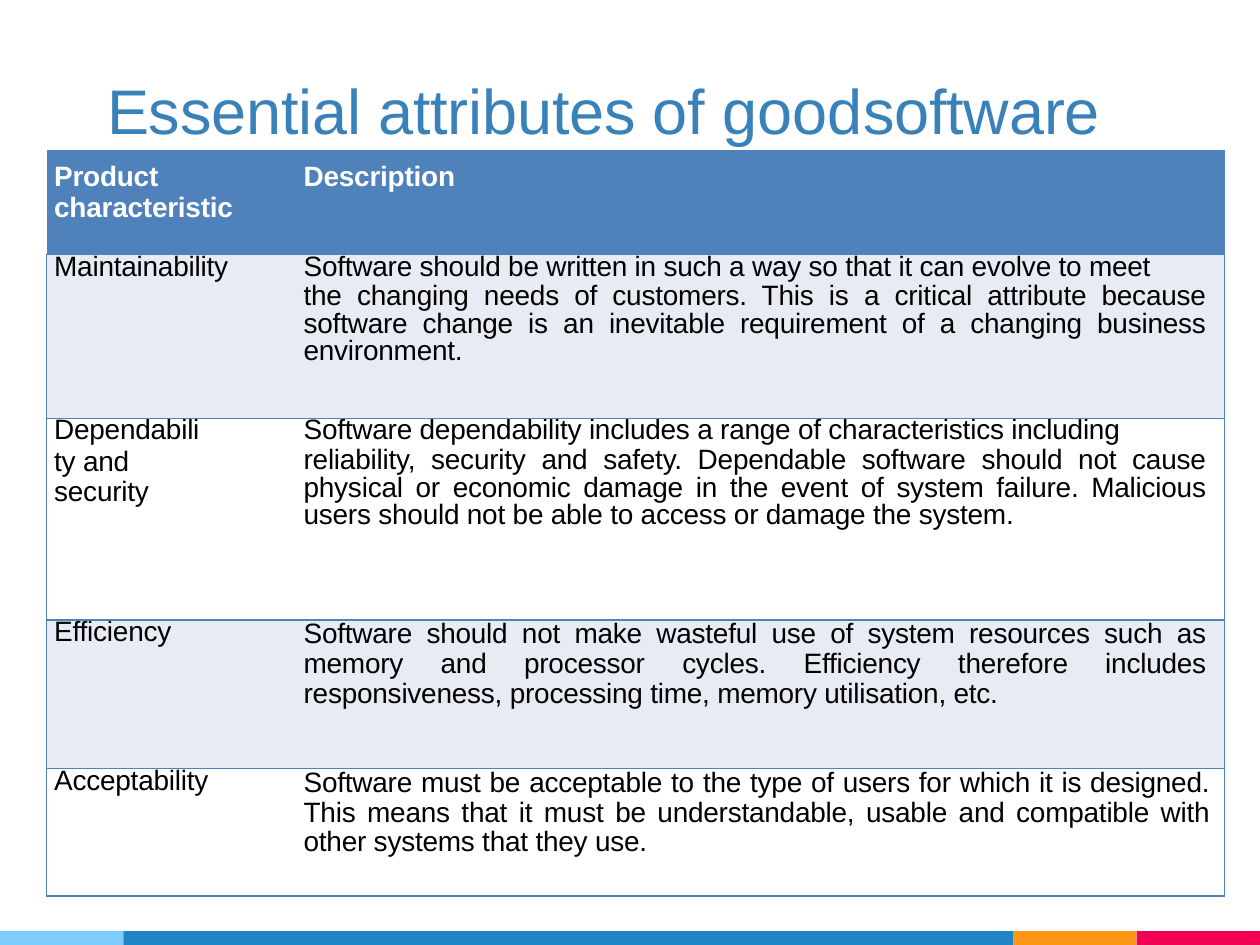
from lxml.etree import SubElement
from pptx import Presentation
from pptx.dml.color import RGBColor
from pptx.enum.shapes import MSO_SHAPE as Shape
from pptx.enum.text import MSO_ANCHOR as Anchor, MSO_AUTO_SIZE as AutoSize, PP_ALIGN as Align
from pptx.oxml.ns import qn
from pptx.util import Inches, Pt

WHITE = RGBColor(0xFF, 0xFF, 0xFF)
BLACK = RGBColor(0x00, 0x00, 0x00)
TITLE_BLUE = RGBColor(0x39, 0x81, 0xB9)
TABLE_BLUE = RGBColor(0x4F, 0x81, 0xBB)
BAND = RGBColor(0xE9, 0xEB, 0xF4)
SKY = RGBColor(0x7D, 0xCE, 0xFC)
OCEAN = RGBColor(0x20, 0x85, 0xC5)
ORANGE = RGBColor(0xFF, 0x96, 0x15)
CRIMSON = RGBColor(0xF1, 0x01, 0x52)

FOOTER = [(0, SKY), (0.98, OCEAN), (8.04, ORANGE), (9.02, CRIMSON)]
COLUMN_WIDTHS = [1.77, 7.58]
ROW_HEIGHTS = [0.83, 1.3, 1.6, 1.18, 1.01]
INDENTS = [0.06, 0.27]
HEADINGS = ["Product characteristic", "Description"]
FIRST_LINE = {"line": Pt(15.7)}
NARROW_NAME = {"line": Pt(17), "before": 1.3, "right": 0.5}
FULL_TEXT = {"line": Pt(17)}
CONTINUED = {"line": 0.885, "before": 1.1}

# Each cell is a list of (text, paragraph format).
ATTRIBUTES = [
    ([("Maintainability", FIRST_LINE)],
     [("Software should be written in such a way so that it can evolve to meet", FIRST_LINE),
      ("the changing needs of customers. This is a critical attribute because "
       "software change is an inevitable requirement of a changing business "
       "environment.", CONTINUED)]),
    ([("Dependabili", FIRST_LINE), ("ty and security", NARROW_NAME)],
     [("Software dependability includes a range of characteristics including", FIRST_LINE),
      ("reliability, security and safety. Dependable software should not cause "
       "physical or economic damage in the event of system failure. Malicious "
       "users should not be able to access or damage the system.", CONTINUED)]),
    ([("Efficiency", FIRST_LINE)],
     [("Software should not make wasteful use of system resources such as "
       "memory and processor cycles. Efficiency therefore includes "
       "responsiveness, processing time, memory utilisation, etc.", FULL_TEXT)]),
    ([("Acceptability", FIRST_LINE)],
     [("Software must be acceptable to the type of users for which it is designed. "
       "This means that it must be understandable, usable and compatible with "
       "other systems that they use.", {**FULL_TEXT, "right": 0.11})]),
]


def write(para, text, size=16, color=BLACK, bold=False, align=Align.LEFT,
          left=0, right=0, before=0, line=None):
    """Fill a paragraph; left and right are margins in inches, before is in points."""
    para.alignment = align
    para.space_before = Pt(before)
    if line is not None:
        para.line_spacing = line
    properties = para._p.get_or_add_pPr()
    for name, value in (("marL", left), ("marR", right), ("indent", 0)):
        properties.set(name, str(Inches(value)))
    span = para.add_run()
    span.text = text
    span.font.name = "Arial"
    span.font.size = Pt(size)
    span.font.bold = bold
    span.font.color.rgb = color
    span._r.get_or_add_rPr().set("spc", "-10")


def add_footer(page):
    ends = [left for left, _ in FOOTER[1:]] + [10]
    for (left, color), end in zip(FOOTER, ends):
        bar = page.shapes.add_shape(Shape.RECTANGLE, Inches(left), Inches(7.39),
                                    Inches(end - left), Inches(0.11))
        bar.shadow.inherit = False
        bar.fill.solid()
        bar.fill.fore_color.rgb = color
        bar.line.fill.background()


def add_title(page):
    title = page.shapes.title
    title.left, title.top = Inches(0.84), Inches(0.56)
    title.width, title.height = Inches(8.16), Inches(0.63)
    frame = title.text_frame
    frame.margin_left = frame.margin_right = frame.margin_bottom = 0
    frame.margin_top = Inches(0.01)
    frame.vertical_anchor = Anchor.TOP
    frame.auto_size = AutoSize.SHAPE_TO_FIT_TEXT
    para = frame.paragraphs[0]
    write(para, "Essential attributes of good\tsoftware",
          size=36, color=TITLE_BLUE, left=0.01, before=1)
    tabs = SubElement(para._p.get_or_add_pPr(), qn("a:tabLst"))
    SubElement(tabs, qn("a:tab"), pos=str(Inches(6.26)), algn="l")


def set_borders(cell, visible):
    """Draw the sides named in visible (letters of LRTB) and hide the others."""
    properties = cell._tc.get_or_add_tcPr()
    for side in "LRTB":
        line = SubElement(properties, qn(f"a:ln{side}"), w=str(Pt(1)))
        if side in visible:
            fill = SubElement(line, qn("a:solidFill"))
            SubElement(fill, qn("a:srgbClr"), val=str(TABLE_BLUE))
        else:
            SubElement(line, qn("a:noFill"))


def fill_cell(cell, paragraphs, fill, borders, top=0, **text_format):
    cell.margin_left = cell.margin_right = cell.margin_bottom = 0
    cell.margin_top = Inches(top)
    cell.vertical_anchor = Anchor.TOP
    set_borders(cell, borders)
    if fill is None:
        cell.fill.background()
    else:
        cell.fill.solid()
        cell.fill.fore_color.rgb = fill
    frame = cell.text_frame
    for index, (text, paragraph_format) in enumerate(paragraphs):
        para = frame.add_paragraph() if index else frame.paragraphs[0]
        write(para, text, **{**text_format, **paragraph_format})


def add_attribute_table(page):
    table = page.shapes.add_table(
        len(ROW_HEIGHTS), len(COLUMN_WIDTHS), Inches(0.37), Inches(1.19),
        Inches(sum(COLUMN_WIDTHS)), Inches(sum(ROW_HEIGHTS))).table
    for column, width in zip(table.columns, COLUMN_WIDTHS):
        column.width = Inches(width)
    for row, height in zip(table.rows, ROW_HEIGHTS):
        row.height = Inches(height)
    for index, heading in enumerate(HEADINGS):
        fill_cell(table.cell(0, index), [(heading, {})], TABLE_BLUE, "", top=0.09,
                  color=WHITE, bold=True, left=INDENTS[index], before=6.3)
    for number, (name, description) in enumerate(ATTRIBUTES, start=1):
        fill = BAND if number % 2 else None
        fill_cell(table.cell(number, 0), name, fill, "LTB", left=INDENTS[0])
        fill_cell(table.cell(number, 1), description, fill, "RTB",
                  left=INDENTS[1], right=0.14, align=Align.JUSTIFY)


def main():
    deck = Presentation()
    deck.slide_width, deck.slide_height = Inches(10), Inches(7.5)
    page = deck.slides.add_slide(deck.slide_layouts[5])
    add_footer(page)
    add_title(page)
    add_attribute_table(page)
    deck.save("out.pptx")


if __name__ == "__main__":
    main()
